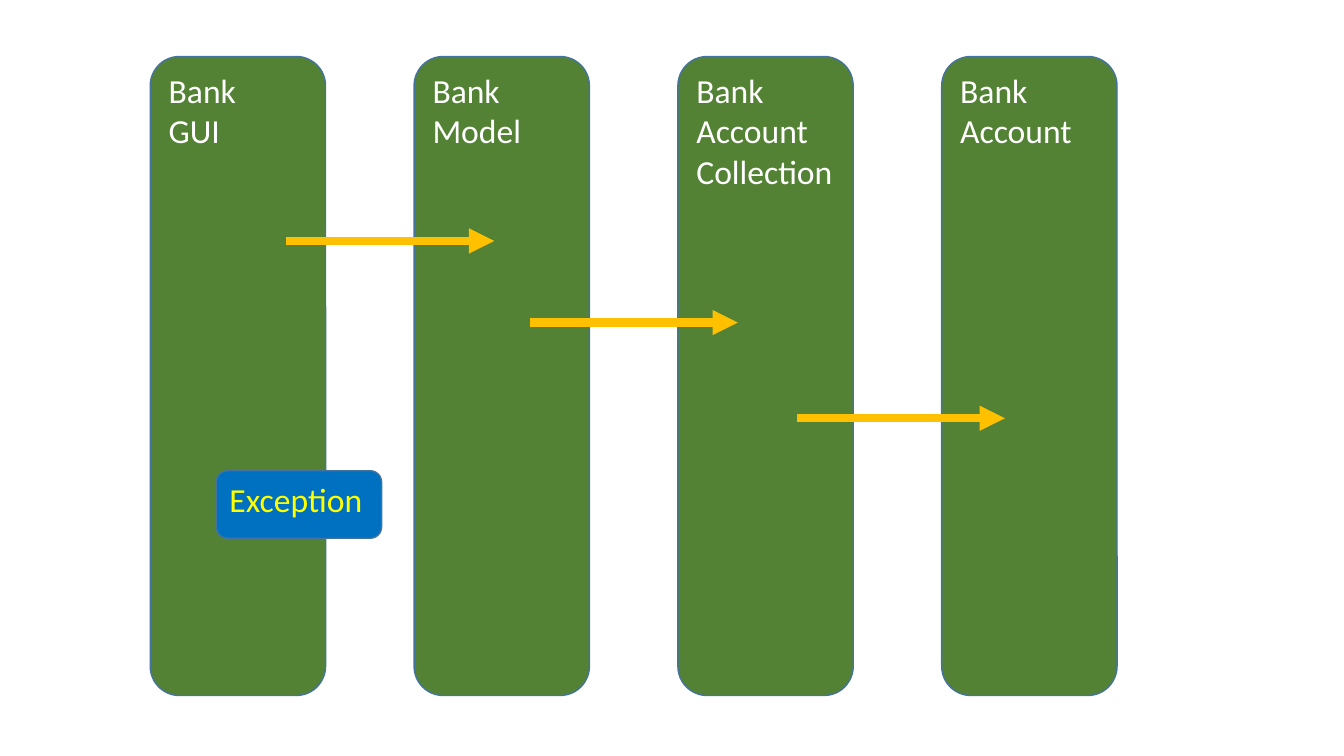
from dataclasses import dataclass

from lxml.etree import SubElement
from pptx import Presentation
from pptx.dml.color import RGBColor
from pptx.enum.shapes import MSO_CONNECTOR, MSO_SHAPE
from pptx.enum.text import MSO_ANCHOR, PP_ALIGN
from pptx.oxml.ns import qn
from pptx.util import Inches, Pt


@dataclass(frozen=True)
class Theme:
    lane: str = "548235"
    alert: str = "0070C0"
    edge: str = "43739E"
    call: str = "FFC000"
    light: str = "FFFFFF"
    warn: str = "FFFF00"
    face: str = "Calibri"
    size: int = 24
    thin: int = 1
    thick: int = 6


class Board:
    """Draws on one slide; lengths are percent of its width and height."""

    def __init__(self, deck, theme):
        self.deck, self.theme = deck, theme
        self.slide = deck.slides.add_slide(deck.slide_layouts[6])

    def spot(self, x, y):
        return (round(self.deck.slide_width * x / 100),
                round(self.deck.slide_height * y / 100))

    def ink(self, line, color, width):
        line.color.rgb = RGBColor.from_string(color)
        line.width = Pt(width)

    def box(self, x, y, wide, high, lines, fill, color):
        box = self.slide.shapes.add_shape(
            MSO_SHAPE.ROUNDED_RECTANGLE, *self.spot(x, y), *self.spot(wide, high))
        box.shadow.inherit = False
        box.fill.solid()
        box.fill.fore_color.rgb = RGBColor.from_string(fill)
        self.ink(box.line, self.theme.edge, self.theme.thin)
        frame = box.text_frame
        frame.word_wrap = True
        frame.vertical_anchor = MSO_ANCHOR.TOP
        frame.text = "\n".join(lines)
        form = {"name": self.theme.face, "size": Pt(self.theme.size)}
        for para in frame.paragraphs:
            para.alignment = PP_ALIGN.LEFT
            for run in para.runs:
                for key, value in form.items():
                    setattr(run.font, key, value)
                run.font.color.rgb = RGBColor.from_string(color)

    def arrow(self, x, y, wide):
        link = self.slide.shapes.add_connector(
            MSO_CONNECTOR.STRAIGHT, *self.spot(x, y), *self.spot(x + wide, y))
        self.ink(link.line, self.theme.call, self.theme.thick)
        SubElement(link.line._get_or_add_ln(), qn("a:tailEnd"), type="triangle")
        SubElement(link._element.spPr, qn("a:effectLst"))


LANES = ["Bank GUI", "Bank Model", "Bank Account Collection", "Bank Account"]
CALLS = [(21.3, 31.87), (39.43, 42.67), (59.3, 55.33)]
LEFT, STEP, WIDE = 11.18, 19.63, 13.05
TOP, HIGH = 7.47, 84.53
REACH = 15.47


def main():
    deck = Presentation()
    deck.slide_width, deck.slide_height = Inches(13.33), Inches(7.5)
    theme = Theme()
    board = Board(deck, theme)
    for i, name in enumerate(LANES):
        board.box(LEFT + i * STEP, TOP, WIDE, HIGH, name.split(),
                  theme.lane, theme.light)
    for x, y in CALLS:
        board.arrow(x, y, REACH)
    board.box(16.09, 62.27, 12.3, 8.93, ["Exception"], theme.alert, theme.warn)
    deck.save("out.pptx")


if __name__ == "__main__":
    main()
